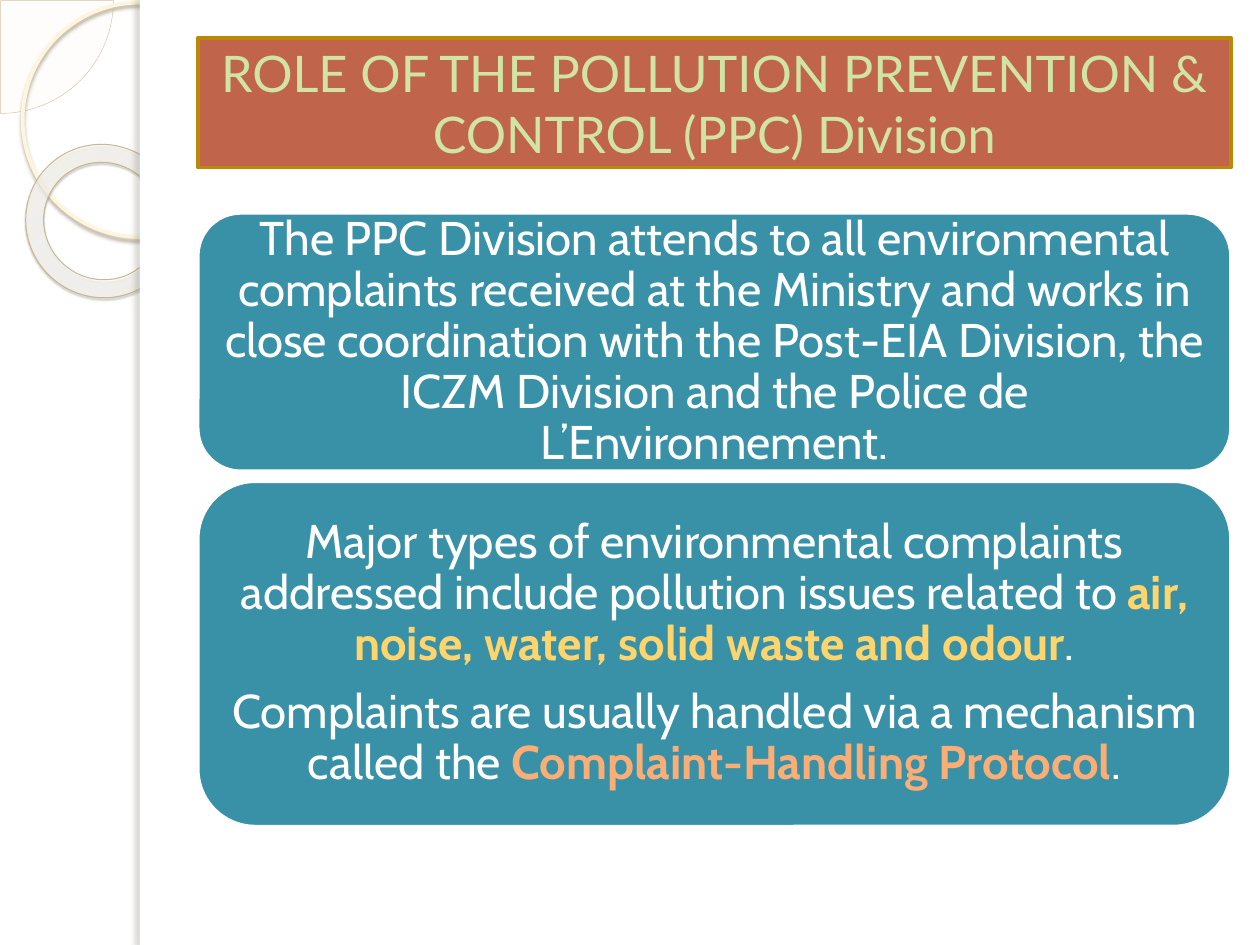
from dataclasses import dataclass

from lxml.etree import SubElement
from pptx import Presentation
from pptx.dml.color import RGBColor
from pptx.enum.shapes import MSO_SHAPE as Shape
from pptx.enum.text import MSO_ANCHOR as Anchor, PP_ALIGN as Align
from pptx.oxml import parse_xml
from pptx.oxml.ns import nsdecls, qn
from pptx.util import Inches, Pt


@dataclass(frozen=True)
class Theme:
    white: str = "FFFFFF"
    banner: str = "C0654C"
    banner_line: str = "BC8807"
    banner_text: str = "D0E4A6"
    card: str = "3891A7"
    issues: str = "FED46C"
    protocol: str = "FAAE76"
    title_font: str = "Lato"
    body_font: str = "Cabin"
    title_size: float = 28.8
    body_size: float = 27


class SlideBuilder:
    """Places styled elements on a grid of 100 columns by 75 rows."""

    def __init__(self, presentation, theme):
        self.theme = theme
        self.column = presentation.slide_width / 100
        self.row = presentation.slide_height / 75
        self.slide = presentation.slides.add_slide(presentation.slide_layouts[6])

    def shape(self, kind, left, top, width, height, fill=None, alpha=None,
              line=None, line_width=1, shadow=None):
        shape = self.slide.shapes.add_shape(
            kind, round(left * self.column), round(top * self.row),
            round(width * self.column), round(height * self.row))
        shape.shadow.inherit = False
        if fill:
            shape.fill.solid()
            shape.fill.fore_color.rgb = RGBColor.from_string(fill)
            if alpha:
                color = shape.element.spPr.find(".//" + qn("a:srgbClr"))
                SubElement(color, qn("a:alpha"), val=str(alpha * 1000))
        else:
            shape.fill.background()
        if line:
            shape.line.color.rgb = RGBColor.from_string(line)
            shape.line.width = Pt(line_width)
        else:
            shape.line.fill.background()
        if shadow:
            self.add_shadow(shape, *shadow)
        return shape

    def add_shadow(self, shape, color, alpha, blur, distance, angle):
        effects = shape.element.spPr.find(qn("a:effectLst"))
        outer = SubElement(
            effects, qn("a:outerShdw"), blurRad=str(Pt(blur)), dist=str(Pt(distance)),
            dir=str(angle * 60000), algn="tl", rotWithShape="0")
        rgb = SubElement(outer, qn("a:srgbClr"), val=color)
        SubElement(rgb, qn("a:alpha"), val=str(alpha * 1000))

    def radial_fill(self, shape, stops, focus):
        stop_xml = "".join(
            f'<a:gs pos="{position * 1000}"><a:srgbClr val="{color}">'
            f'<a:alpha val="{alpha * 1000}"/></a:srgbClr></a:gs>'
            for position, color, alpha in stops)
        sides = " ".join(f'{side}="{share * 1000}"' for side, share in zip("ltrb", focus))
        gradient = parse_xml(
            f'<a:gradFill {nsdecls("a")} rotWithShape="1"><a:gsLst>{stop_xml}</a:gsLst>'
            f'<a:path path="circle"><a:fillToRect {sides}/></a:path></a:gradFill>')
        properties = shape.element.spPr
        properties.replace(properties.find(qn("a:noFill")), gradient)

    def add_text(self, shape, paragraphs, font, size, color, spacing=1.0, after=0):
        """Each paragraph is a list of (text, accent color or None)."""
        frame = shape.text_frame
        frame.word_wrap = True
        frame.vertical_anchor = Anchor.MIDDLE
        for index, runs in enumerate(paragraphs):
            paragraph = frame.add_paragraph() if index else frame.paragraphs[0]
            paragraph.alignment = Align.CENTER
            paragraph.line_spacing = spacing
            paragraph.space_after = Pt(after)
            for text, accent in runs:
                run = paragraph.add_run()
                run.text = text
                run.font.name = font
                run.font.size = Pt(size)
                run.font.bold = accent is not None
                run.font.color.rgb = RGBColor.from_string(accent or color)

    def banner(self, left, top, width, height, text):
        theme = self.theme
        shape = self.shape(Shape.RECTANGLE, left, top, width, height, theme.banner,
                           line=theme.banner_line, line_width=2)
        self.add_text(shape, [[(text, None)]], theme.title_font, theme.title_size,
                      theme.banner_text)

    def card(self, left, top, width, height, paragraphs):
        theme = self.theme
        shape = self.shape(Shape.ROUNDED_RECTANGLE, left, top, width, height, theme.card,
                           line=theme.white, line_width=2)
        frame = shape.text_frame
        frame.margin_left = frame.margin_right = Inches(0.11)
        frame.margin_top = frame.margin_bottom = Inches(0.11)
        self.add_text(shape, paragraphs, theme.body_font, theme.body_size, theme.white,
                      spacing=0.9, after=theme.body_size * 0.35)

    def side_decoration(self):
        white = self.theme.white
        pie = self.shape(Shape.PIE, -8.9, -8.9, 17.9, 17.9, "FEFAF4", 33, "D3C39F", 0.25)
        pie.adjustments[0], pie.adjustments[1] = 0, 54  # quarter turn
        self.shape(Shape.OVAL, 1.8, 0.2, 18.6, 18.6, line="FFF5DE", line_width=2.15,
                   shadow=("B0A68F", 85, 2, 2, 90))
        ring = self.shape(Shape.DONUT, 2, 11.5, 12.3, 12.1, line="C7B893", line_width=0.58,
                          shadow=("5A5444", 35, 1, 1.2, 75))
        ring.adjustments[0] = 0.118
        ring.rotation = 38.6
        self.radial_fill(
            ring, [(0, "FFFCF6", 70), (70, "FFFEFB", 55), (100, "F0D28E", 60)],
            (-408, -50, 508, 150))
        # Page panel and its shaded left edge
        self.shape(Shape.RECTANGLE, 11.1, 0, 88.9, 75, white)
        self.shape(Shape.RECTANGLE, 11.1, 0, 0.8, 75, white,
                   shadow=("736F63", 25, 3, 3, 180))


def main():
    presentation = Presentation()
    presentation.slide_width, presentation.slide_height = Inches(10), Inches(7.5)
    theme = Theme()
    builder = SlideBuilder(presentation, theme)
    left, width = 15.7, 82

    # Background and title
    builder.side_decoration()
    builder.banner(left, 3, width, 10.3,
                   "ROLE OF THE POLLUTION PREVENTION & CONTROL (PPC) Division")

    # Stacked cards
    cards = [
        (20.5, [[("The PPC Division attends to all environmental complaints received at "
                  "the Ministry and works in close coordination with the Post-EIA "
                  "Division, the ICZM Division and the Police de L’Environnement.", None)]]),
        (27.4, [[("Major types of environmental complaints addressed include pollution "
                  "issues related to ", None),
                 ("air, noise, water, solid waste and odour", theme.issues),
                 (".", None)],
                [("Complaints are usually handled via a mechanism called the ", None),
                 ("Complaint-Handling Protocol", theme.protocol),
                 (".", None)]]),
    ]
    top, gap = 16.9, 0.8
    for height, paragraphs in cards:
        builder.card(left, top, width, height, paragraphs)
        top += height + gap

    presentation.save("out.pptx")


if __name__ == "__main__":
    main()
